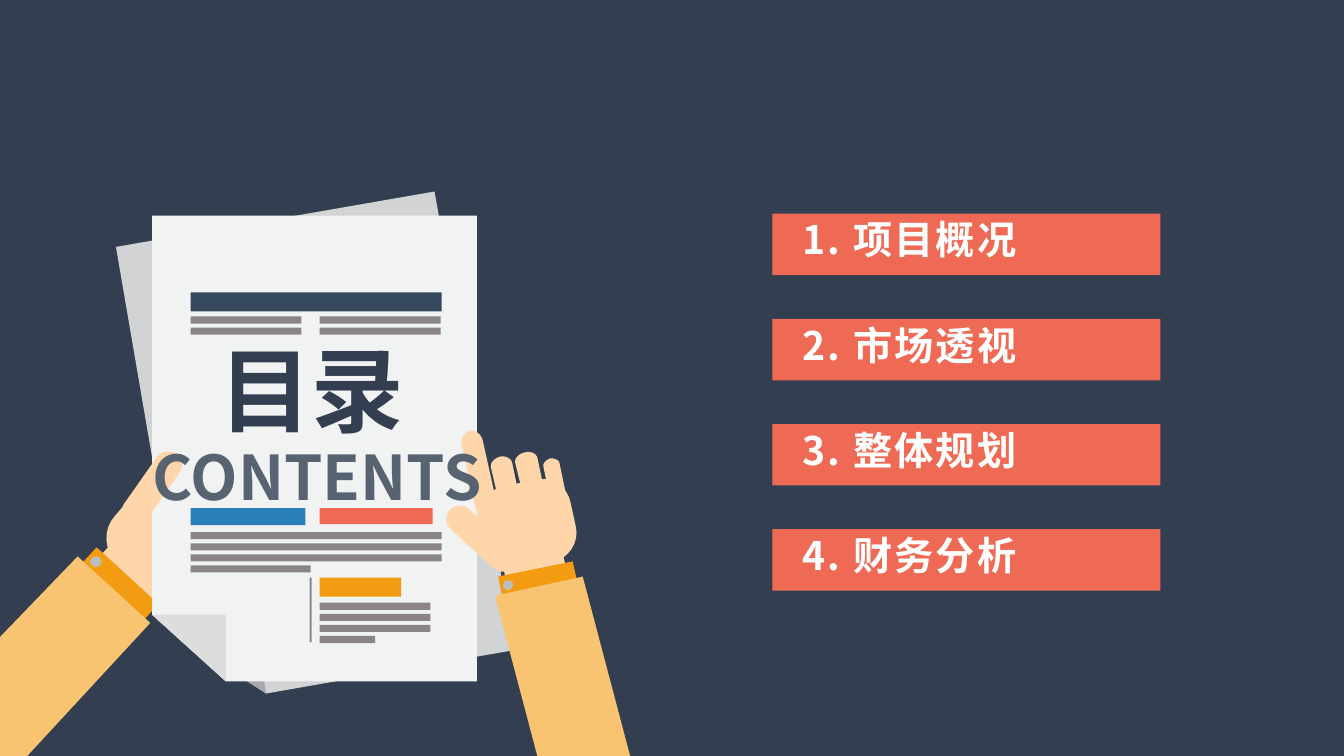
from lxml import etree
from pptx import Presentation
from pptx.dml.color import RGBColor
from pptx.enum import shapes, text
from pptx.oxml.ns import qn
from pptx.util import Inches, Pt

FONT = "Noto Sans CJK SC"
COLORS = {
    "navy": "333F50", "header": "36485D", "slate": "586371", "white": "FFFFFF",
    "coral": "EF6A54", "blue": "2980B9", "orange": "F39C12", "sleeve": "F8C471",
    "skin": "FFD6A9", "cream": "FCF4D0", "button": "BBBDBF", "line": "8A8488",
    "paper": "F1F2F2", "fold": "DDDDDD", "back": "D1D3D4", "back_fold": "A7A9AC",
}
TOPICS = ["1. 项目概况", "2. 市场透视", "3. 整体规划", "4. 财务分析"]
FIRST_BAR, LAST_BAR = 2.12, 5.25

BACK_SHEET = [
    ("back", [(2.64, 6.88), (5.1, 6.45), (4.31, 1.9), (1.15, 2.45), (1.82, 6.35)]),
    ("back_fold", [(1.82, 6.35), (2.53, 6.23), (2.64, 6.88)]),
]
LEFT_ARM = [
    ("skin", [(1.45, 6), (0.96, 5.55), (1.09, 5.41), (1.58, 5.85)]),
    ("skin", [(1.9, 5.81), (1.77, 5.94, 1.56, 5.95, 1.43, 5.83), (1.16, 5.58),
              (1.03, 5.46, 1.02, 5.25, 1.14, 5.12), (1.31, 4.92),
              (1.44, 4.79, 1.65, 4.78, 1.78, 4.9), (2.05, 5.15),
              (2.18, 5.27, 2.19, 5.48, 2.07, 5.61)]),
    ("cream", [(1.52, 5.05), (1.47, 5.1, 1.39, 5.12, 1.34, 5.07),
               (1.29, 5.03, 1.3, 4.94, 1.35, 4.89), (1.89, 4.29),
               (1.94, 4.24, 2.02, 4.23, 2.07, 4.27),
               (2.12, 4.31, 2.12, 4.4, 2.06, 4.45)]),
    ("orange", [(1.43, 6.15), (0.81, 5.59), (0.96, 5.43), (1.57, 5.99)]),
    ("button", [(0.99, 5.61), (1.01, 5.59, 1.01, 5.56, 0.99, 5.53),
                (0.96, 5.51, 0.93, 5.52, 0.91, 5.54),
                (0.89, 5.56, 0.89, 5.59, 0.92, 5.61),
                (0.94, 5.63, 0.97, 5.63, 0.99, 5.61)]),
    ("sleeve", [(1.49, 6.18), (0.27, 7.5), (0, 7.5), (0, 6.32), (0.77, 5.52)]),
]
FRONT_SHEET = [
    ("paper", [(2.24, 6.76), (4.73, 6.76), (4.73, 2.14), (1.51, 2.14), (1.51, 6.1)]),
    ("fold", [(1.51, 6.1), (2.24, 6.1), (2.24, 6.76)]),
]
LEFT_THUMB = [
    ("skin", [(1.45, 5.16), (1.41, 5.21, 1.33, 5.22, 1.27, 5.18),
              (1.21, 5.14, 1.19, 5.06, 1.23, 5), (1.56, 4.53),
              (1.6, 4.48, 1.69, 4.46, 1.75, 4.51),
              (1.81, 4.55, 1.82, 4.63, 1.78, 4.69)]),
]
RIGHT_ARM = [
    ("skin", [(5.62, 5.66), (5.02, 5.78), (4.99, 5.61), (5.58, 5.48)]),
    ("skin", [(5.71, 5.22), (5.75, 5.38, 5.64, 5.54, 5.48, 5.58), (5.15, 5.65),
              (4.99, 5.68, 4.83, 5.58, 4.8, 5.42), (4.75, 5.19),
              (4.71, 5.02, 4.81, 4.87, 4.98, 4.83), (5.3, 4.76),
              (5.46, 4.72, 5.63, 4.82, 5.66, 4.99)]),
    ("skin", [(4.95, 5.1), (4.96, 5.17, 4.93, 5.23, 4.87, 5.24),
              (4.81, 5.26, 4.75, 5.21, 4.74, 5.14), (4.58, 4.42),
              (4.56, 4.36, 4.6, 4.29, 4.66, 4.27),
              (4.71, 4.26, 4.78, 4.31, 4.79, 4.38)]),
    ("skin", [(5.08, 5.44), (5.14, 5.49, 5.14, 5.57, 5.09, 5.62),
              (5.04, 5.68, 4.96, 5.69, 4.9, 5.64), (4.47, 5.25),
              (4.42, 5.2, 4.41, 5.12, 4.46, 5.06),
              (4.51, 5.01, 4.59, 5, 4.65, 5.05)]),
    ("skin", [(5.16, 4.97), (5.18, 5.02, 5.14, 5.06, 5.08, 5.07),
              (5.02, 5.09, 4.96, 5.06, 4.96, 5.02), (4.87, 4.64),
              (4.86, 4.59, 4.9, 4.55, 4.96, 4.53),
              (5.02, 4.52, 5.07, 4.55, 5.08, 4.59)]),
    ("skin", [(5.41, 4.92), (5.42, 4.96, 5.38, 5.01, 5.32, 5.02),
              (5.26, 5.03, 5.2, 5.01, 5.2, 4.96), (5.11, 4.59),
              (5.1, 4.55, 5.15, 4.5, 5.2, 4.49),
              (5.26, 4.47, 5.32, 4.5, 5.33, 4.54)]),
    ("skin", [(5.61, 4.89), (5.62, 4.93, 5.59, 4.96, 5.55, 4.97),
              (5.5, 4.98, 5.46, 4.96, 5.45, 4.93), (5.39, 4.63),
              (5.38, 4.6, 5.41, 4.57, 5.45, 4.55),
              (5.5, 4.54, 5.55, 4.57, 5.55, 4.6)]),
    ("orange", [(5.72, 5.75), (4.98, 5.91), (4.94, 5.72), (5.68, 5.57)]),
    ("button", [(5.09, 5.79), (5.08, 5.77, 5.06, 5.75, 5.03, 5.76),
                (5, 5.76, 4.99, 5.79, 4.99, 5.81),
                (5, 5.84, 5.02, 5.86, 5.05, 5.85),
                (5.07, 5.84, 5.09, 5.82, 5.09, 5.79)]),
    ("sleeve", [(6.25, 7.5), (5.33, 7.5), (4.91, 5.91), (5.78, 5.72)]),
]
ARTICLE_BLOCKS = [
    ("line", 3.07, 5.73, 0.02, 0.64),
    ("blue", 1.89, 5.04, 1.14, 0.17),
    ("coral", 3.17, 5.04, 1.12, 0.16),
    ("orange", 3.17, 5.73, 0.81, 0.19),
    ("header", 1.89, 2.9, 2.49, 0.19),
]
TEXT_LINES = [
    (1.89, 5.28, [2.49, 2.49, 2.49, 1.19]),
    (3.17, 5.98, [1.1, 1.1, 1.1, 0.55]),
    (3.17, 3.14, [1.2, 1.2]),
    (1.89, 3.14, [1.1, 1.1]),
]


def paint(sp, color):
    """Give a shape a flat fill without line or shadow."""
    sp.shadow.inherit = False
    sp.fill.solid()
    sp.fill.fore_color.rgb = RGBColor.from_string(COLORS[color])
    sp.line.fill.background()


def add_block(s, color, x, y, w, h):
    """Add a flat rectangle."""
    sp = s.shapes.add_shape(shapes.MSO_SHAPE.RECTANGLE,
                            Inches(x), Inches(y), Inches(w), Inches(h))
    paint(sp, color)


def bezier(start, curve, steps=8):
    """Return points along a cubic curve given as two controls and an end."""
    knots = [start, curve[:2], curve[2:4], curve[4:]]
    points = []
    for i in range(1, steps + 1):
        t = i / steps
        weights = ((1 - t) ** 3, 3 * t * (1 - t) ** 2, 3 * t * t * (1 - t), t ** 3)
        points.append(tuple(sum(w * k[axis] for w, k in zip(weights, knots))
                            for axis in (0, 1)))
    return points


def add_outlines(s, outlines):
    """Add closed outlines whose steps are line ends or cubic curves."""
    for color, steps in outlines:
        points = [steps[0]]
        for step in steps[1:]:
            points += [step] if len(step) == 2 else bezier(points[-1], step)
        emu = [(Inches(x), Inches(y)) for x, y in points]
        builder = s.shapes.build_freeform(*emu[0])
        builder.add_line_segments(emu[1:], close=True)
        paint(builder.convert_to_shape(), color)


def add_label(s, words, box, size, color, align, wrap=True):
    """Add a bold one-line text box and return its shape."""
    sp = s.shapes.add_textbox(*map(Inches, box))
    tf = sp.text_frame
    tf.word_wrap = wrap
    tf.auto_size = text.MSO_AUTO_SIZE.SHAPE_TO_FIT_TEXT
    p = tf.paragraphs[0]
    p.text = words
    p.alignment = align
    p.font.size, p.font.bold, p.font.name = Pt(size), True, FONT
    p.font.color.rgb = RGBColor.from_string(COLORS[color])
    props = p._p.pPr.find(qn("a:defRPr"))
    etree.SubElement(props, qn("a:ea")).set("typeface", FONT)
    return sp


def add_topic(s, words, y):
    """Add a contents entry on its coloured bar."""
    add_block(s, "coral", 7.66, y, 3.85, 0.61)
    sp = add_label(s, words, (7.88, y + 0.23, 3.63, 0.35), 28, "white",
                   text.PP_ALIGN.JUSTIFY)
    sp.text_frame.margin_left = Inches(0.08)
    p = sp.text_frame.paragraphs[0]
    p.line_spacing = Pt(15)
    p._p.pPr.find(qn("a:defRPr")).set("spc", "150")


def main():
    """Build the contents slide."""
    prs = Presentation()
    prs.slide_width, prs.slide_height = Inches(13.33), Inches(7.5)
    s = prs.slides.add_slide(prs.slide_layouts[6])
    s.background.fill.solid()
    s.background.fill.fore_color.rgb = RGBColor.from_string(COLORS["navy"])
    for outlines in (BACK_SHEET, LEFT_ARM, FRONT_SHEET):
        add_outlines(s, outlines)
    for block in ARTICLE_BLOCKS:
        add_block(s, *block)
    for x, y, widths in TEXT_LINES:
        for i, width in enumerate(widths):
            add_block(s, "line", x, y + 0.11 * i, width, 0.07)
    add_outlines(s, LEFT_THUMB + RIGHT_ARM)
    pitch = (LAST_BAR - FIRST_BAR) / (len(TOPICS) - 1)
    for i, topic in enumerate(TOPICS):
        add_topic(s, topic, FIRST_BAR + pitch * i)
    center = text.PP_ALIGN.CENTER
    add_label(s, "目录", (1.95, 3.26, 2.28, 1.21), 66, "navy", center)
    add_label(s, "CONTENTS", (1.32, 4.31, 3.66, 0.84), 44, "slate", center, wrap=False)
    prs.save("out.pptx")


if __name__ == "__main__":
    main()
